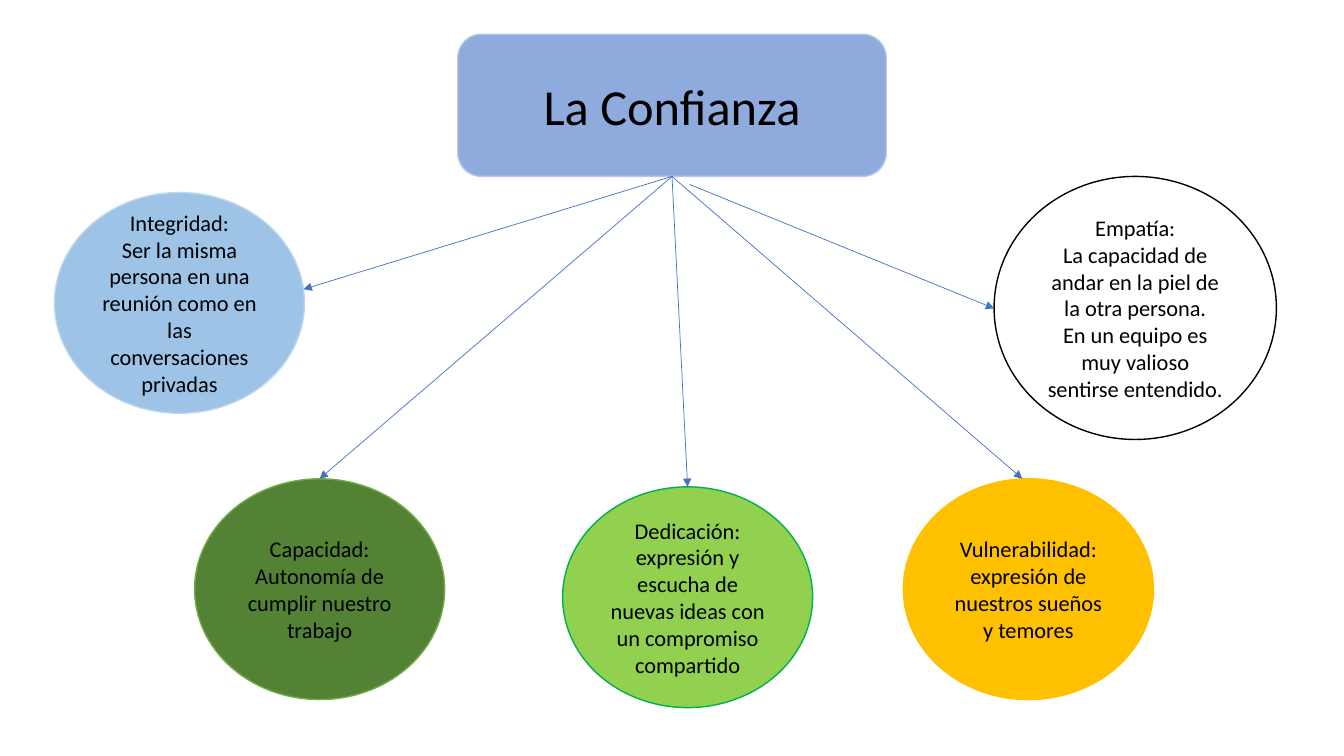
from lxml import etree
from pptx import Presentation
from pptx.dml.color import RGBColor
from pptx.enum import shapes, text
from pptx.oxml import ns
from pptx.util import Inches, Pt

BLACK = RGBColor(0x00, 0x00, 0x00)
TITLE_BLUE = RGBColor(0x8F, 0xAA, 0xDC)
TITLE_EDGE = RGBColor(0xB4, 0xC7, 0xE7)
DARK_GREEN = RGBColor(0x54, 0x82, 0x35)
MID_GREEN = RGBColor(0x70, 0xAD, 0x47)
SKY_BLUE = RGBColor(0x9D, 0xC3, 0xE6)
PALE_BLUE = RGBColor(0xBD, 0xD7, 0xEE)
AMBER = RGBColor(0xFF, 0xC0, 0x00)
LIME = RGBColor(0x92, 0xD0, 0x50)
EMERALD = RGBColor(0x00, 0xB0, 0x50)
ARROW_BLUE = RGBColor(0x44, 0x72, 0xC4)

TOP, BOTTOM = 0, 2
VALUE_SIZE = (2.48, 2.19)
TITLE_BOX = (4.54, 0.34, 4.25, 1.41)
TITLE_FOOT = (6.67, 1.75)

VALUES = [
    ((1.93, 4.75, *VALUE_SIZE), DARK_GREEN, MID_GREEN,
     "Capacidad:\nAutonomía de cumplir nuestro trabajo",
     TITLE_FOOT, (3.17, 4.75)),
    ((0.54, 1.91, *VALUE_SIZE), SKY_BLUE, PALE_BLUE,
     "Integridad:\nSer la misma persona en una reunión como en las "
     "conversaciones privadas",
     TITLE_FOOT, (3.01, 2.87)),
    ((8.96, 4.75, *VALUE_SIZE), AMBER, AMBER,
     "Vulnerabilidad: expresión de nuestros sueños y temores",
     TITLE_FOOT, (10.14, 4.75)),
    ((5.58, 4.83, *VALUE_SIZE), LIME, EMERALD,
     "Dedicación: expresión y escucha de nuevas ideas con un compromiso "
     "compartido",
     TITLE_FOOT, (6.82, 4.83)),
    ((9.86, 1.75, 2.8, 2.61), None, BLACK,
     "Empatía:\nLa capacidad de andar en la piel de la otra persona.\n"
     "En un equipo es muy valioso sentirse entendido.",
     (6.84, 1.83), (9.86, 3.06)),
]


def add_bubble(slide, outline, box, fill, edge, wording, size):
    bubble = slide.shapes.add_shape(outline, *map(Inches, box))
    bubble.shadow.inherit = False
    if fill is None:
        bubble.fill.background()
    else:
        bubble.fill.solid()
        bubble.fill.fore_color.rgb = fill
    bubble.line.color.rgb = edge
    bubble.line.width = Pt(1)
    frame = bubble.text_frame
    frame.word_wrap = True
    frame.vertical_anchor = text.MSO_ANCHOR.MIDDLE
    frame.text = wording
    for paragraph in frame.paragraphs:
        paragraph.alignment = text.PP_ALIGN.CENTER
        for run in paragraph.runs:
            run.font.name = "Calibri"
            run.font.size = Pt(size)
            run.font.color.rgb = BLACK
    return bubble


def add_arrow(slide, start, end):
    arrow = slide.shapes.add_connector(
        shapes.MSO_CONNECTOR.STRAIGHT, *map(Inches, (*start, *end)))
    arrow.line.color.rgb = ARROW_BLUE
    arrow.line.width = Pt(0.5)
    etree.SubElement(arrow.line._get_or_add_ln(), ns.qn("a:tailEnd"),
                     type="triangle")
    etree.SubElement(arrow._element.spPr, ns.qn("a:effectLst"))
    return arrow


def add_trust_map(slide):
    title = add_bubble(slide, shapes.MSO_SHAPE.ROUNDED_RECTANGLE, TITLE_BOX,
                       TITLE_BLUE, TITLE_EDGE, "La Confianza", 36)
    bubbles = [add_bubble(slide, shapes.MSO_SHAPE.OVAL, box, fill, edge,
                          wording, 16)
               for box, fill, edge, wording, _, _ in VALUES]
    for bubble, (box, _, _, _, start, end) in zip(bubbles, VALUES):
        arrow = add_arrow(slide, start, end)
        if start == TITLE_FOOT:
            arrow.begin_connect(title, BOTTOM)
        top_middle = (round(box[0] + box[2] / 2, 2), box[1])
        if end == top_middle:
            arrow.end_connect(bubble, TOP)


def main():
    deck = Presentation()
    deck.slide_width = Inches(13.33)
    deck.slide_height = Inches(7.5)
    add_trust_map(deck.slides.add_slide(deck.slide_layouts[6]))
    deck.save("out.pptx")


if __name__ == "__main__":
    main()
